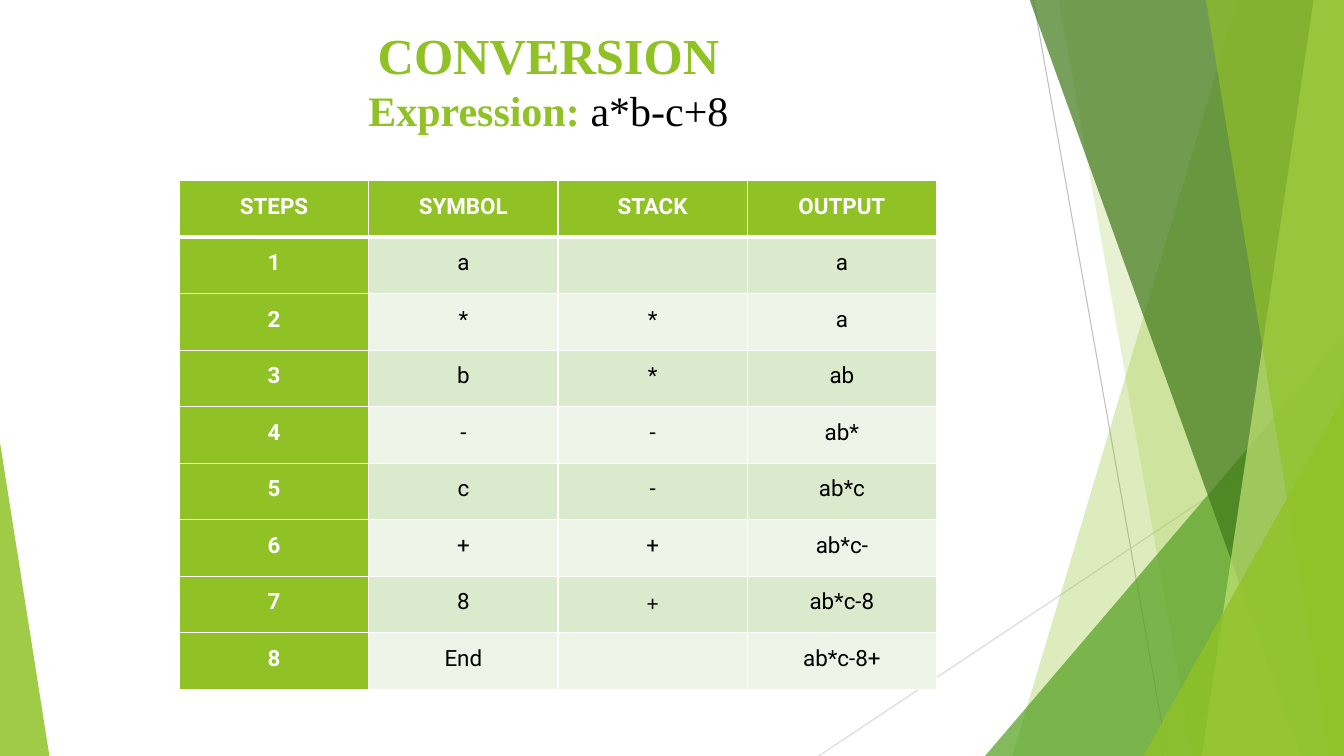
from lxml.etree import SubElement
from pptx import Presentation
from pptx.dml.color import RGBColor
from pptx.enum.shapes import MSO_CONNECTOR, MSO_SHAPE
from pptx.enum.text import MSO_ANCHOR, MSO_AUTO_SIZE, PP_ALIGN
from pptx.oxml.ns import qn
from pptx.util import Inches, Pt

GREEN, WHITE, BLACK = "90C226", "FFFFFF", "000000"
ROW_FILLS = ("DBE9CD", "EEF4E8")
BLEED = 0.01  # the facets start just above the slide

# Facets from back to front; x is measured leftwards from the right edge
FACETS = [
    ("shard", 1.05, 3.29, GREEN, 30),  # kind, top x, bottom x, colour, opacity
    ("shard", 2.83, 1.5, GREEN, 20),
    ("triangle", 3.56, 4.17, "54A021", 72),  # kind, width, height, colour, opacity
    ("shard", 3.12, 0.42, "3F7819", 70),
    ("shard", 0.3, 1.41, "C0E474", 70),
    ("shard", 1.37, 0.15, GREEN, 65),
    ("triangle", 1.99, 3.57, GREEN, 80),
]

STEPS = [
    ("STEPS", "SYMBOL", "STACK", "OUTPUT"),
    ("1", "a", "", "a"),
    ("2", "*", "*", "a"),
    ("3", "b", "*", "ab"),
    ("4", "-", "-", "ab*"),
    ("5", "c", "-", "ab*c"),
    ("6", "+", "+", "ab*c-"),
    ("7", "8", "+", "ab*c-8"),
    ("8", "End", "", "ab*c-8+"),
]
CALIBRI_CELL = (7, 2)


def rgb(value):
    return RGBColor.from_string(value)


def set_attributes(target, values):
    for name, value in values.items():
        setattr(target, name, value)


def format_font(font, color, **values):
    set_attributes(font, values)
    font.color.rgb = rgb(color)


def paint(shape, color, opacity):
    shape.shadow.inherit = False
    shape.line.fill.background()
    shape.fill.solid()
    shape.fill.fore_color.rgb = rgb(color)
    color_element = shape.fill._xPr.find(qn("a:solidFill"))[0]
    SubElement(color_element, qn("a:alpha"), val=str(opacity * 1000))


def add_line(slide, start, end, color):
    line = slide.shapes.add_connector(
        MSO_CONNECTOR.STRAIGHT, *map(Inches, start + end))
    line.line.color.rgb = rgb(color)
    line.line.width = Pt(0.75)
    SubElement(line._element.spPr, qn("a:effectLst"))


def add_triangle(slide, left, bottom, width, height, apex, color, opacity):
    triangle = slide.shapes.add_shape(
        MSO_SHAPE.ISOSCELES_TRIANGLE,
        *map(Inches, (left, bottom - height, width, height)))
    triangle.adjustments[0] = apex
    paint(triangle, color, opacity)


def add_shard(slide, right, top, bottom, top_x, bottom_x, color, opacity):
    corners = [(right - top_x, top), (right, top),
               (right, bottom), (right - bottom_x, bottom)]
    points = [(Inches(x), Inches(y)) for x, y in corners]
    builder = slide.shapes.build_freeform(*points[0])
    builder.add_line_segments(points[1:], close=True)
    paint(builder.convert_to_shape(), color, opacity)


def add_facets(slide, left, top, width, height):
    right, bottom = left + width, top + height
    # Thin crossing lines
    add_line(slide, (right - 3.08, top), (right - 1.75, bottom), "BFBFBF")
    add_line(slide, (right, top + 4.03), (left, bottom), "D9D9D9")
    # Overlapping translucent facets
    for kind, first, second, color, opacity in FACETS:
        if kind == "shard":
            add_shard(slide, right, top - BLEED, bottom, first, second, color, opacity)
        else:
            add_triangle(slide, right - first, bottom, first, second, 1, color, opacity)


def add_title(slide, left, top, width, height):
    title = slide.shapes.title
    set_attributes(title, {"left": Inches(left), "top": Inches(top),
                           "width": Inches(width), "height": Inches(height)})
    frame = title.text_frame
    set_attributes(frame, {"word_wrap": True, "auto_size": MSO_AUTO_SIZE.NONE,
                           "vertical_anchor": MSO_ANCHOR.TOP})
    paragraph = frame.paragraphs[0]
    paragraph.alignment = PP_ALIGN.CENTER
    for text, size, color, bold in (("CONVERSION", 36, GREEN, True),
                                    ("Expression: ", 30, GREEN, True),
                                    ("a*b-c+8", 30, BLACK, False)):
        run = paragraph.add_run()
        run.text = text
        format_font(run.font, color, name="Times New Roman", size=Pt(size), bold=bold)
        if text == "CONVERSION":
            paragraph.add_line_break()


def add_borders(cell, row):
    # The rule under the header row is thicker
    widths = {"a:lnL": 1, "a:lnR": 1, "a:lnT": 3 if row == 1 else 1,
              "a:lnB": 3 if row == 0 else 1}
    properties = cell._tc.get_or_add_tcPr()
    for tag, width in widths.items():
        border = SubElement(properties, qn(tag), w=str(Pt(width)))
        fill = SubElement(border, qn("a:solidFill"))
        SubElement(fill, qn("a:srgbClr"), val=WHITE)


def format_cell(cell, text, row, column):
    heading = row == 0 or column == 0
    set_attributes(cell, {"margin_left": Inches(0.07), "margin_right": Inches(0.07),
                          "margin_top": 0, "margin_bottom": 0})
    add_borders(cell, row)
    cell.fill.solid()
    cell.fill.fore_color.rgb = rgb(GREEN if heading else ROW_FILLS[(row - 1) % 2])
    if not text:
        return
    paragraph = cell.text_frame.paragraphs[0]
    set_attributes(paragraph, {"alignment": PP_ALIGN.CENTER, "line_spacing": 1.5,
                               "space_after": Pt(8)})
    run = paragraph.add_run()
    run.text = text
    font_name = "Calibri" if (row, column) == CALIBRI_CELL else "Roboto"
    format_font(run.font, WHITE if heading else BLACK,
                name=font_name, size=Pt(16), bold=heading)


def add_steps_table(slide, left, top, width, height):
    table = slide.shapes.add_table(
        len(STEPS), len(STEPS[0]), *map(Inches, (left, top, width, height))).table
    for column in table.columns:
        column.width = Inches(width / len(STEPS[0]))
    for row in table.rows:
        row.height = Inches(height / len(STEPS))
    for row, texts in enumerate(STEPS):
        for column, text in enumerate(texts):
            format_cell(table.cell(row, column), text, row, column)


def main():
    presentation = Presentation()
    presentation.slide_width = Inches(13.33)
    presentation.slide_height = Inches(7.5)
    slide = presentation.slides.add_slide(presentation.slide_layouts[5])
    add_facets(slide, 8.12, 0, 5.21, 7.5)
    # Corner wedge at the lower left
    add_triangle(slide, 0, 7.5, 0.49, 3.11, 0, GREEN, 85)
    add_title(slide, 0.74, 0.19, 9.4, 1.92)
    add_steps_table(slide, 1.78, 1.79, 7.51, 5.05)
    presentation.save("out.pptx")


if __name__ == "__main__":
    main()
